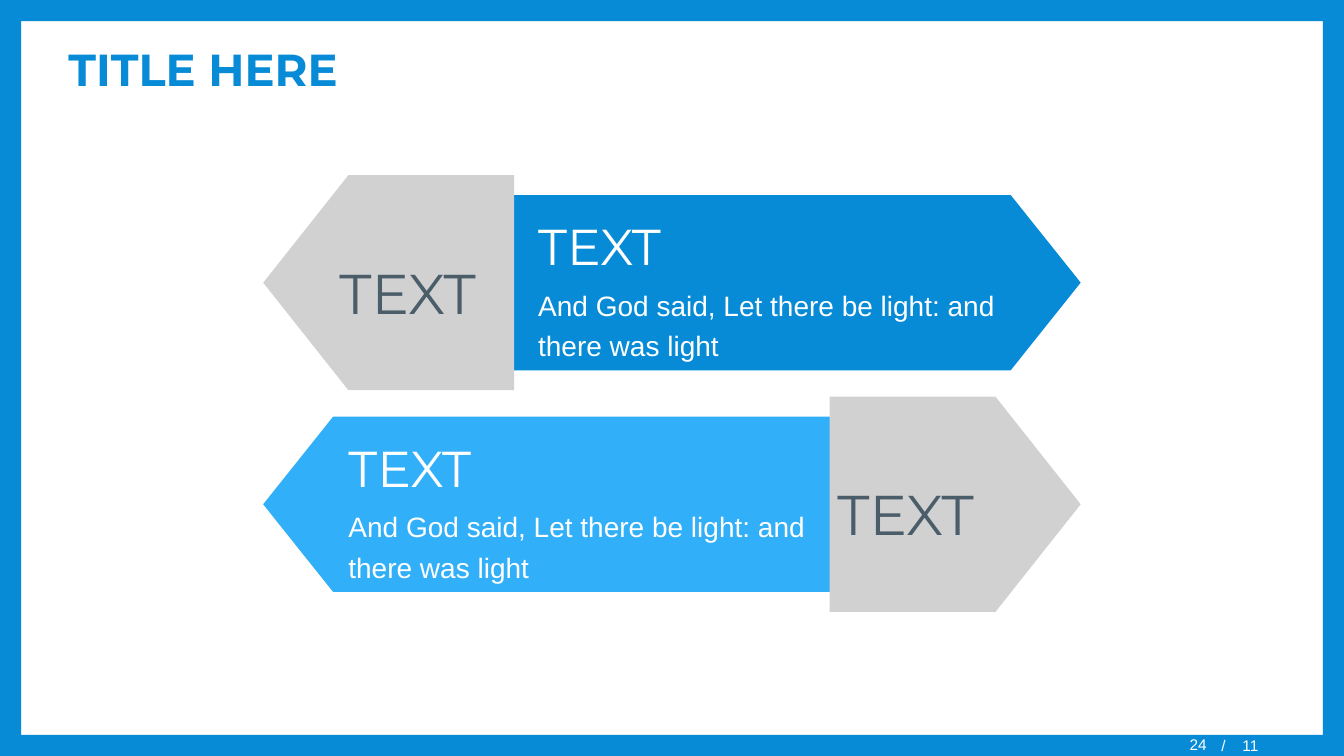
from dataclasses import dataclass

from pptx import Presentation
from pptx.dml.color import RGBColor
from pptx.enum.shapes import MSO_SHAPE
from pptx.enum.text import MSO_ANCHOR, MSO_AUTO_SIZE, PP_ALIGN
from pptx.oxml.xmlchemy import OxmlElement
from pptx.shapes.autoshape import Shape
from pptx.shapes.shapetree import GroupShapes, SlideShapes
from pptx.text.text import _Paragraph as Paragraph
from pptx.util import Pt


@dataclass(frozen=True)
class Theme:
    blue: str = "078BD7"
    light_blue: str = "31AFF8"
    grey: str = "D1D1D1"
    slate: str = "4A5D69"
    white: str = "FFFFFF"
    heading_font: str = "Montserrat"
    body_font: str = "Arial"
    title_size: float = 32
    label_size: float = 40
    heading_size: float = 36
    body_size: float = 20
    page_size: float = 11


@dataclass(frozen=True)
class Box:
    left: float
    top: float
    width: float
    height: float

    def lengths(self) -> tuple[Pt, Pt, Pt, Pt]:
        return Pt(self.left), Pt(self.top), Pt(self.width), Pt(self.height)


@dataclass(frozen=True)
class ArrowRow:
    """A banner and its grey badge; a mirrored row has the badge on the right."""
    banner_left: float
    badge_left: float
    label_left: float
    color: str
    mirrored: bool


THEME = Theme()
SLIDE = Box(0, 0, 960, 540)
BODY = "And God said, Let there be light: and there was light"
FIRST_ROW_MIDDLE, ROW_PITCH = 201.9, 158.3
BANNER_WIDTH, BANNER_HEIGHT = 423.4, 125.2
BADGE_WIDTH, BADGE_HEIGHT = 179.3, 153.6
LABEL_WIDTH, LABEL_HEIGHT, LABEL_RISE = 133.2, 65.5, 30.5
BANNER_INDENT = 28.8
ROWS = [
    ArrowRow(348.5, 188, 235.4, THEME.blue, False),
    ArrowRow(188, 592.6, 591.1, THEME.light_blue, True),
]


def style_text(paragraph: Paragraph, text: str, font: str, size: float,
               color: str, bold: bool = False) -> None:
    paragraph.text = text
    paragraph.font.name = font
    paragraph.font.size = Pt(size)
    paragraph.font.bold = bold
    paragraph.font.color.rgb = RGBColor.from_string(color)


def space_paragraph(paragraph: Paragraph, first: bool) -> None:
    paragraph.line_spacing = 1.2
    paragraph.space_before = Pt(0 if first else 2)
    paragraph.space_after = Pt(2)


def add_filled_shape(shapes: SlideShapes | GroupShapes, kind: MSO_SHAPE, box: Box,
                     color: str, adjustment: float, mirrored: bool = False) -> Shape:
    shape = shapes.add_shape(kind, *box.lengths())
    shape.adjustments[0] = adjustment
    shape.shadow.inherit = False
    shape.fill.solid()
    shape.fill.fore_color.rgb = RGBColor.from_string(color)
    shape.line.fill.background()
    if mirrored:
        shape._element.spPr.xfrm.set("flipH", "1")
    return shape


def add_text_box(shapes: SlideShapes | GroupShapes, box: Box) -> Shape:
    shape = shapes.add_textbox(*box.lengths())
    shape.text_frame.word_wrap = True
    shape.text_frame.vertical_anchor = MSO_ANCHOR.MIDDLE
    return shape


def fill_banner(banner: Shape) -> None:
    frame = banner.text_frame
    frame.word_wrap = True
    frame.vertical_anchor = MSO_ANCHOR.MIDDLE
    lines = [("TEXT", THEME.heading_font, THEME.heading_size),
             (BODY, THEME.body_font, THEME.body_size)]
    for index, (text, font, size) in enumerate(lines):
        paragraph = frame.add_paragraph() if index else frame.paragraphs[0]
        paragraph._p.get_or_add_pPr().set("marL", str(Pt(BANNER_INDENT)))
        paragraph.alignment = PP_ALIGN.LEFT
        space_paragraph(paragraph, first=index == 0)
        style_text(paragraph, text, font, size, THEME.white)


def add_arrow_row(shapes: SlideShapes, row: ArrowRow, middle: float) -> None:
    members = shapes.add_group_shape().shapes
    banner_box = Box(row.banner_left, middle - BANNER_HEIGHT / 2,
                     BANNER_WIDTH, BANNER_HEIGHT)
    banner = add_filled_shape(members, MSO_SHAPE.PENTAGON, banner_box,
                              row.color, 0.399, row.mirrored)
    fill_banner(banner)

    badge_box = Box(row.badge_left, middle - BADGE_HEIGHT / 2,
                    BADGE_WIDTH, BADGE_HEIGHT)
    badge = add_filled_shape(members, MSO_SHAPE.PENTAGON, badge_box,
                             THEME.grey, 0.396, row.mirrored)
    badge.rotation = 180

    label = add_text_box(members, Box(row.label_left, middle - LABEL_RISE,
                                      LABEL_WIDTH, LABEL_HEIGHT))
    frame = label.text_frame
    frame.word_wrap = False
    frame.auto_size = MSO_AUTO_SIZE.SHAPE_TO_FIT_TEXT
    frame.vertical_anchor = MSO_ANCHOR.TOP
    space_paragraph(frame.paragraphs[0], first=True)
    style_text(frame.paragraphs[0], "TEXT", THEME.heading_font,
               THEME.label_size, THEME.slate)


def add_tab_stop(paragraph: Paragraph, position: float) -> None:
    tab_list = OxmlElement("a:tabLst")
    tab = OxmlElement("a:tab")
    tab.set("pos", str(Pt(position)))
    tab.set("algn", "l")
    tab_list.append(tab)
    paragraph._p.get_or_add_pPr().append(tab_list)


def add_page_number(shapes: SlideShapes) -> None:
    total = add_text_box(shapes, Box(865.4, 525.6, 94.6, 13))
    paragraph = total.text_frame.paragraphs[0]
    add_tab_stop(paragraph, 15)
    style_text(paragraph, "/\t11", THEME.body_font, THEME.page_size, THEME.white)

    current = add_text_box(shapes, Box(682.6, 527, 186.5, 13))
    current.text_frame.margin_top = Pt(0)
    paragraph = current.text_frame.paragraphs[0]
    paragraph.alignment = PP_ALIGN.RIGHT
    style_text(paragraph, "24", THEME.body_font, THEME.page_size, THEME.white)


def main() -> None:
    presentation = Presentation()
    presentation.slide_width = Pt(SLIDE.width)
    presentation.slide_height = Pt(SLIDE.height)
    slide = presentation.slides.add_slide(presentation.slide_layouts[6])
    shapes = slide.shapes

    add_filled_shape(shapes, MSO_SHAPE.FRAME, SLIDE, THEME.blue, 0.028)
    title = add_text_box(shapes, Box(41.8, 20.2, 877, 56.9))
    style_text(title.text_frame.paragraphs[0], "TITLE HERE", THEME.heading_font,
               THEME.title_size, THEME.blue, bold=True)
    for index, row in enumerate(ROWS):
        add_arrow_row(shapes, row, FIRST_ROW_MIDDLE + index * ROW_PITCH)
    add_page_number(shapes)
    presentation.save("out.pptx")


if __name__ == "__main__":
    main()
